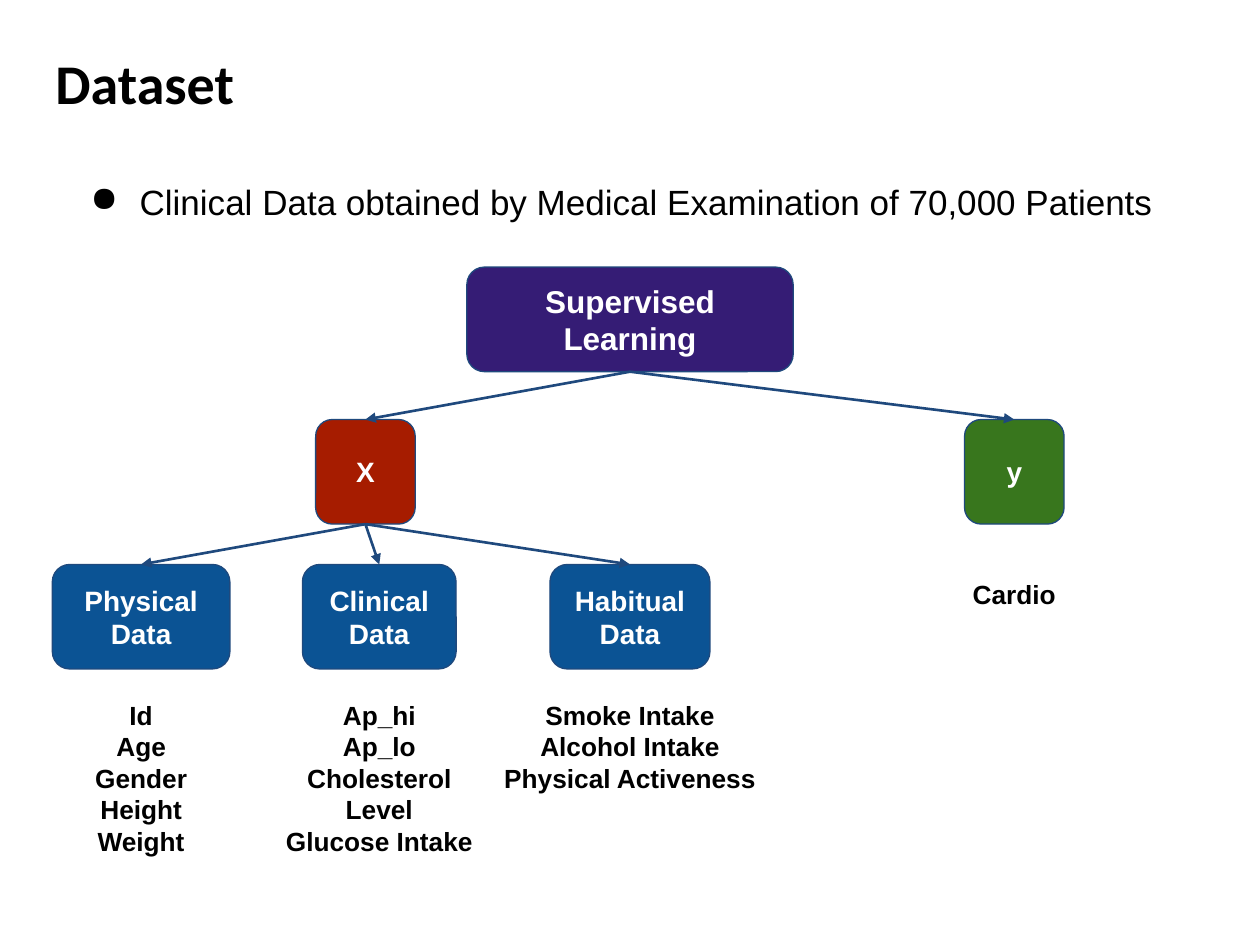
from pptx import Presentation
from pptx import util as u
from pptx.dml.color import RGBColor
from pptx.enum import shapes, text
from pptx.oxml.ns import qn
from lxml import etree

ink = {"black": "000000", "white": "FFFFFF", "navy": "1F497D", "purple": "351C75",
       "green": "38761D", "red": "A61C00", "blue": "0B5394"}


def color(name):
    return RGBColor.from_string(ink[name])


def write(frame, lines, size, tone="black", bold=True, align=text.PP_ALIGN.CENTER,
          font="Arial", pad=0.1):
    frame.word_wrap = True
    frame.margin_left = frame.margin_right = u.Inches(0.1)
    frame.margin_top = frame.margin_bottom = u.Inches(pad)
    for i, line in enumerate(lines):
        para = frame.paragraphs[0] if i == 0 else frame.add_paragraph()
        para.alignment = align
        run = para.add_run()
        run.text = line
        run.font.name = font
        run.font.size = u.Pt(size)
        run.font.bold = bold
        run.font.color.rgb = color(tone)


deck = Presentation()
deck.slide_width, deck.slide_height = u.Inches(10), u.Inches(7.5)
slide = deck.slides.add_slide(deck.slide_layouts[5])
left = text.PP_ALIGN.LEFT

title = slide.shapes.title
title.left, title.top = u.Inches(0.34), u.Inches(0.24)
title.width, title.height = u.Inches(9.32), u.Inches(0.83)
title.text_frame.vertical_anchor = text.MSO_ANCHOR.MIDDLE
write(title.text_frame, ["Dataset"], 32, align=left, font="Calibri", pad=0.05)

intro = slide.shapes.add_textbox(u.Inches(0.51), u.Inches(1.33), u.Inches(9.08), u.Inches(0.88))
write(intro.text_frame, ["Clinical Data obtained by Medical Examination of 70,000 Patients"],
      20, bold=False, align=left)
props = intro.text_frame.paragraphs[0]._p.get_or_add_pPr()
props.set("marL", str(u.Inches(0.5)))
props.set("indent", str(u.Inches(-0.39)))
etree.SubElement(props, qn("a:buChar")).set("char", "●")

nodes = [
    ("Supervised Learning", 5, 2.12, 2.59, "purple", 18),
    ("y", 8.05, 3.33, 0.79, "green", 16),
    ("X", 2.9, 3.33, 0.79, "red", 16),
    ("Physical Data", 1.12, 4.48, 1.41, "blue", 16),
    ("Clinical Data", 3.01, 4.48, 1.22, "blue", 16),
    ("Habitual Data", 5, 4.48, 1.27, "blue", 16),
]
boxes = {}
for name, mid, top, wide, tone, size in nodes:
    box = slide.shapes.add_shape(shapes.MSO_SHAPE.ROUNDED_RECTANGLE, u.Inches(mid - wide / 2),
                                 u.Inches(top), u.Inches(wide), u.Inches(0.83))
    box.shadow.inherit = False
    box.fill.solid()
    box.fill.fore_color.rgb = color(tone)
    box.line.color.rgb = color("navy")
    box.line.width = u.Pt(0.75)
    box.text_frame.vertical_anchor = text.MSO_ANCHOR.MIDDLE
    write(box.text_frame, [name], size, "white")
    boxes[name] = box

links = [("Supervised Learning", "X"), ("X", "Physical Data"), ("X", "Clinical Data"),
         ("X", "Habitual Data"), ("Supervised Learning", "y")]
for start, end in links:
    link = slide.shapes.add_connector(shapes.MSO_CONNECTOR.STRAIGHT, 0, 0, 0, 0)
    link.begin_connect(boxes[start], 2)
    link.end_connect(boxes[end], 0)
    link.line.color.rgb = color("navy")
    link.line.width = u.Pt(1.5)
    etree.SubElement(link.line._get_or_add_ln(), qn("a:tailEnd")).set("type", "triangle")
    etree.SubElement(link._element.spPr, qn("a:effectLst"))

lists = [
    (1.12, 5.45, 1.22, 1.46, ["Id", "Age", "Gender", "Height", "Weight"]),
    (3.01, 5.45, 1.88, 1.46, ["Ap_hi", "Ap_lo", "Cholesterol Level", "Glucose Intake"]),
    (5, 5.45, 2.23, 0.96, ["Smoke Intake", "Alcohol Intake", "Physical Activeness"]),
    (8.05, 4.49, 2.23, 0.45, ["Cardio"]),
]
for mid, top, wide, high, lines in lists:
    area = slide.shapes.add_textbox(u.Inches(mid - wide / 2), u.Inches(top),
                                    u.Inches(wide), u.Inches(high))
    write(area.text_frame, lines, 15)

deck.save("out.pptx")
